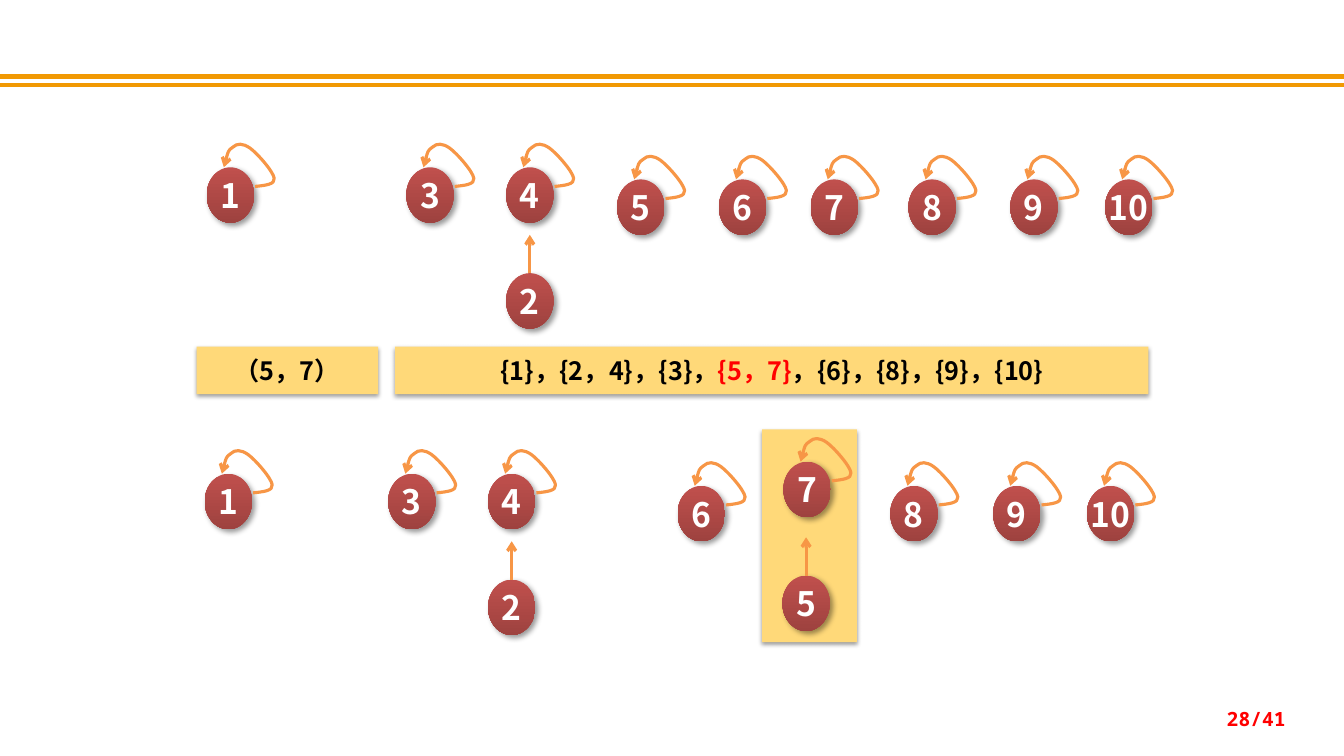
from lxml import etree
from pptx import Presentation
from pptx.dml.color import RGBColor
from pptx.enum.shapes import MSO_CONNECTOR, MSO_SHAPE
from pptx.enum.text import MSO_ANCHOR, PP_ALIGN
from pptx.oxml import parse_xml
from pptx.oxml.ns import nsdecls, qn
from pptx.util import Pt

LINE = MSO_CONNECTOR.STRAIGHT
RECT, OVAL = MSO_SHAPE.RECTANGLE, MSO_SHAPE.OVAL
MIDDLE = MSO_ANCHOR.MIDDLE
CENTER, RIGHT = PP_ALIGN.CENTER, PP_ALIGN.RIGHT

# Content: lengths in px, 100 to the inch
COLORS = {"rule": "F19903", "panel": "FFD979", "top": "C0504D", "low": "9E423F",
          "arrow": "F79646", "text": "000000", "mark": "FF0000", "node": "FFFFFF"}
SANS, MONO = "Noto Sans CJK SC", "Noto Sans Mono"
RULES = [76, 84]
PAGE = ((974, 693, 311, 40), "28/41")
BARS = [
    ((195, 344, 180, 47), [("（5，7）", "text")]),
    ((392, 344, 747, 47), [("{1}，{2，4}，{3}，", "text"), ("{5，7}", "mark"),
                           ("，{6}，{8}，{9}，{10}", "text")]),
]
PANEL = (756, 426, 94, 211)
# Roots point at themselves: label, left, top
ROOTS = [
    (1, 205, 166), (3, 403, 166), (4, 502, 166), (5, 612, 178), (6, 713, 178),
    (7, 804, 178), (8, 901, 178), (9, 1002, 178), (10, 1096, 178),
    (1, 203, 470), (3, 385, 470), (4, 484, 470), (6, 672, 482), (7, 777, 458),
    (8, 883, 482), (9, 985, 482), (10, 1078, 482),
]
# Children point up to a root
KIDS = [(2, 502, 271), (2, 484, 575), (5, 776, 571)]
NODE_W, NODE_H, RISE = 47, 55, 38
# Loop from a node's left top corner: start, then three points per curve
LOOP = [(48, 19), (58, 18), (68, 17), (67, 11), (66, 4), (50, -14), (43, -19),
        (36, -24), (30, -24), (26, -20), (21, -17), (19, -8), (17, 0)]
# Shadows: opacity %, blur pt, distance pt, angle
BAR_SHADE, NODE_SHADE = (38, 3.1, 1.6, 90), (40, 4, 3, 45)

PX = 9144


def px(*sizes):
    return [round(size * PX) for size in sizes]


def color(name):
    return RGBColor.from_string(COLORS[name])


def add_shade(shape, shade):
    alpha, blur, dist, angle = shade
    shape._element.spPr.append(parse_xml(
        f'<a:effectLst {nsdecls("a")}><a:outerShdw blurRad="{Pt(blur)}" '
        f'dist="{Pt(dist)}" dir="{angle * 60000}" rotWithShape="0">'
        f'<a:srgbClr val="000000"><a:alpha val="{alpha * 1000}"/></a:srgbClr>'
        '</a:outerShdw></a:effectLst>'))


def style_line(shape, name, width, head=False):
    shape.line.color.rgb = color(name)
    shape.line.width = Pt(width)
    if head:
        etree.SubElement(shape.line._get_or_add_ln(), qn("a:tailEnd"), type="arrow")


def add_line(x1, y1, x2, y2, name, width, head=False):
    line = shapes.add_connector(LINE, *px(x1, y1, x2, y2))
    style_line(line, name, width, head)
    etree.SubElement(line._element.spPr, qn("a:effectLst"))
    return line


def write(shape, runs, size, face, align=CENTER, wrap=True):
    frame = shape.text_frame
    frame.word_wrap = wrap
    frame.vertical_anchor = MIDDLE
    para = frame.paragraphs[0]
    para.alignment = align
    font = para.font
    font.size, font.bold, font.name = Pt(size), True, face
    etree.SubElement(font._element, qn("a:ea"), typeface=face)
    for text, name in runs:
        run = para.add_run()
        run.text = text
        run.font.color.rgb = color(name)


def add_box(box):
    shape = shapes.add_shape(RECT, *px(*box))
    shape.fill.solid()
    shape.fill.fore_color.rgb = color("panel")
    shape.line.fill.background()
    add_shade(shape, BAR_SHADE)
    return shape


def add_node(label, x, y):
    node = shapes.add_shape(OVAL, *px(x, y, NODE_W, NODE_H))
    node.fill.gradient()
    node.fill.gradient_angle = 270
    for stop, name, place in zip(node.fill.gradient_stops, ("top", "low"), (0, 1)):
        stop.color.rgb = color(name)
        stop.position = place
    node.line.fill.background()
    add_shade(node, NODE_SHADE)
    write(node, [(str(label), "node")], 24, SANS, wrap=False)
    return node


def add_loop(x, y):
    start, *rest = [(x + dx, y + dy) for dx, dy in LOOP]
    form = shapes.build_freeform(*start, scale=PX)
    form.add_line_segments(rest, close=False)
    loop = form.convert_to_shape()
    loop.fill.background()
    loop.shadow.inherit = False
    style_line(loop, "arrow", 2.25, head=True)
    # Turn each three segments into one curve
    steps = list(loop._element.iter(qn("a:lnTo")))
    for i in range(0, len(steps), 3):
        curve = etree.Element(qn("a:cubicBezTo"))
        steps[i].addprevious(curve)
        for step in steps[i:i + 3]:
            curve.append(step[0])
            step.getparent().remove(step)


prs = Presentation()
prs.slide_width, prs.slide_height = px(1333, 750)
shapes = prs.slides.add_slide(prs.slide_layouts[6]).shapes

# Header rules and page number
for y in RULES:
    add_line(0, y, 1333, y, "rule", 3)
box, text = PAGE
write(shapes.add_textbox(*px(*box)), [(text, "mark")], 14, MONO, RIGHT)

# Bars with the pair and the sets
for box, runs in BARS:
    write(add_box(box), runs, 18, SANS)

# Panel behind the joined pair
add_box(PANEL)

# Trees
for label, x, y in KIDS:
    node = add_node(label, x, y)
    mid = x + NODE_W / 2
    add_line(mid, y, mid, y - RISE, "arrow", 2.25, head=True).begin_connect(node, 0)
for label, x, y in ROOTS:
    add_node(label, x, y)
    add_loop(x, y)

prs.save("out.pptx")
